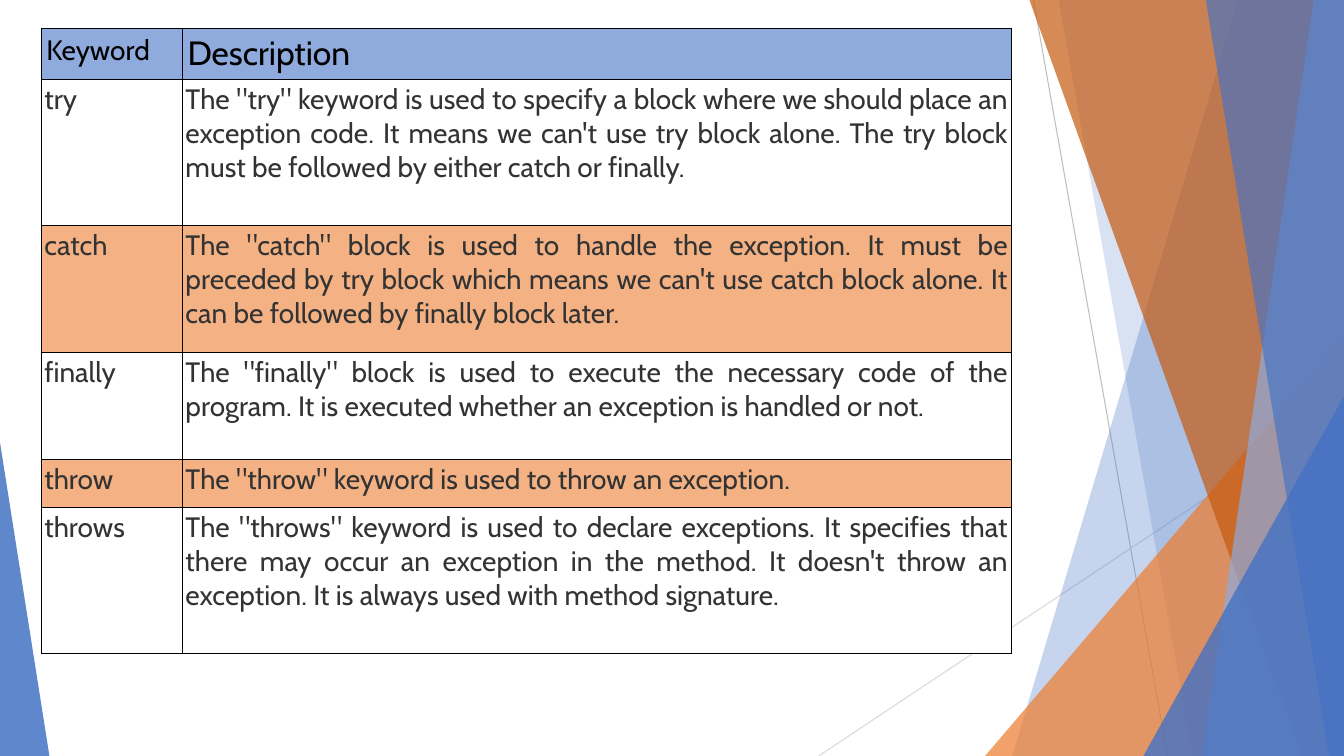
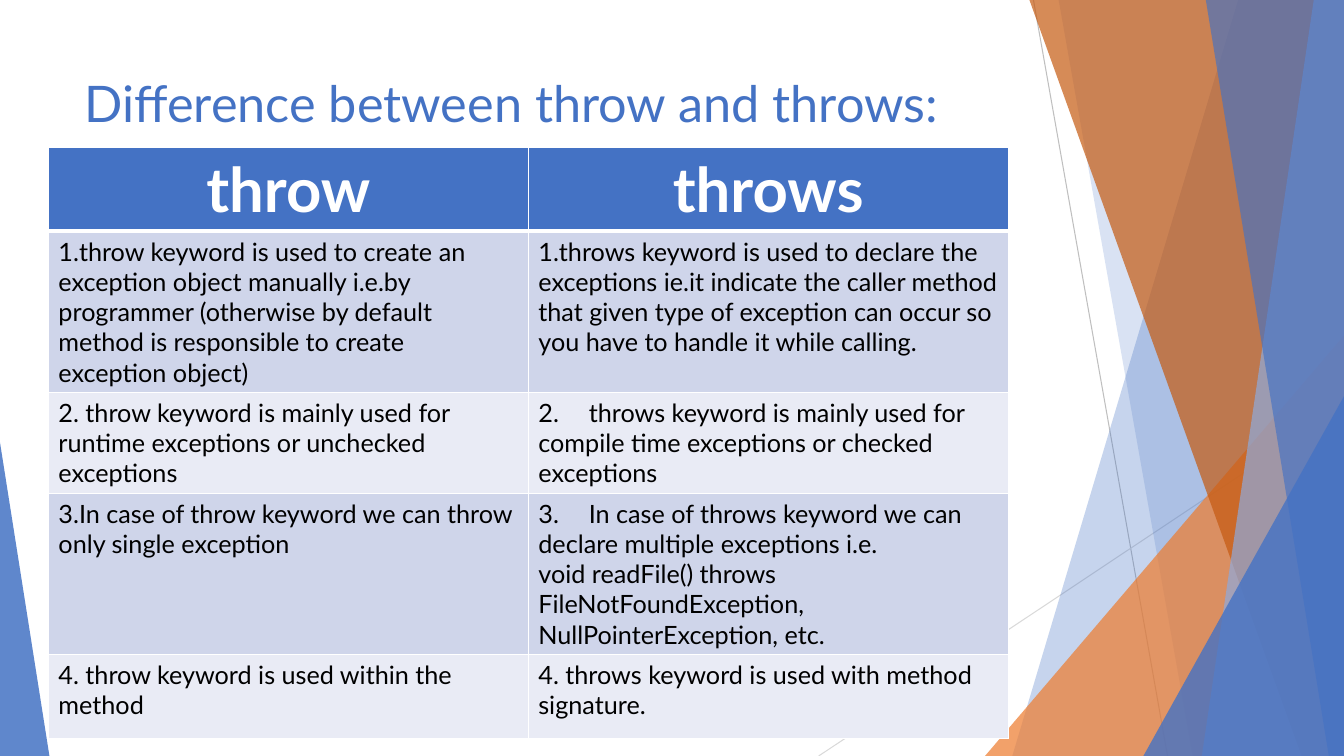
"""Build two slides on exception keywords in a shared faceted design."""
from dataclasses import dataclass
from typing import NamedTuple, Optional

import lxml.etree
import pptx
import pptx.dml.color
import pptx.enum.shapes
import pptx.enum.text
import pptx.oxml.ns
import pptx.slide
import pptx.table
import pptx.text.text
import pptx.util

Inches = pptx.util.Inches
Pt = pptx.util.Pt
ALIGN = pptx.enum.text.PP_ALIGN
qn = pptx.oxml.ns.qn


@dataclass(frozen=True)
class Theme:
    wide: float = 13.33
    high: float = 7.5
    blue: str = "4472C4"
    sky: str = "8FAADC"
    orange: str = "ED7D31"
    rust: str = "C55A11"
    peach: str = "F4B183"
    mist: str = "CFD5EA"
    pale: str = "E9EBF5"
    white: str = "FFFFFF"
    black: str = "000000"
    ink: str = "333333"
    gray: str = "BFBFBF"
    light: str = "D9D9D9"
    sans: str = "Lato"
    round: str = "Cabin"
    title: int = 36
    banner: int = 44
    head: int = 24
    body: int = 20
    small: int = 18


T = Theme()


class Line(NamedTuple):
    x1: float
    y1: float
    x2: float
    y2: float
    color: str


class Facet(NamedTuple):
    top: float
    base: float
    color: str
    alpha: int


class Wedge(NamedTuple):
    left: float
    top: float
    width: float
    apex: float
    color: str
    alpha: int


class Look(NamedTuple):
    sizes: tuple[int, int]
    font: str
    color: str
    align: ALIGN
    pad: tuple[float, float]
    bold: bool = False


class Row(NamedTuple):
    high: float
    texts: tuple[str, str]


@dataclass(frozen=True)
class Grid:
    left: float
    top: float
    cols: tuple[float, float]
    rows: tuple[Row, ...]
    head: Look
    body: Look
    band: str
    fills: tuple[str, str]
    edge: str
    rule: float


LINES = (
    Line(10.25, 0, 11.58, T.high, T.gray),
    Line(T.wide, 4.03, 8.12, T.high, T.light),
)
SHARDS = (
    Facet(12.28, 10.04, T.blue, 30),
    Facet(10.5, 11.83, T.blue, 20),
    Wedge(9.77, 3.33, 3.56, 1, T.orange, 72),
    Facet(10.21, 12.91, T.rust, 70),
    Facet(13.03, 11.92, T.sky, 70),
    Facet(11.96, 13.18, T.blue, 65),
    Wedge(11.34, 3.93, 1.99, 1, T.blue, 80),
    Wedge(0, 4.39, 0.49, 0, T.blue, 85),
)

KEYWORDS = Grid(
    left=0.41, top=0.28, cols=(1.4, 8.22),
    rows=(
        Row(0.49, ("Keyword", "Description")),
        Row(1.45, ("try", "The \"try\" keyword is used to specify a block where we should place an exception code. It means we can't use try block alone. The try block must be followed by either catch or finally.")),
        Row(1.26, ("catch", "The \"catch\" block is used to handle the exception. It must be preceded by try block which means we can't use catch block alone. It can be followed by finally block later.")),
        Row(1.06, ("finally", "The \"finally\" block is used to execute the necessary code of the program. It is executed whether an exception is handled or not.")),
        Row(0.48, ("throw", "The \"throw\" keyword is used to throw an exception.")),
        Row(1.45, ("throws", "The \"throws\" keyword is used to declare exceptions. It specifies that there may occur an exception in the method. It doesn't throw an exception. It is always used with method signature.")),
    ),
    head=Look((T.body, T.head), T.round, T.black, ALIGN.LEFT, (0.05, 0.05)),
    body=Look((T.body, T.body), T.round, T.ink, ALIGN.JUSTIFY, (0.03, 0.03)),
    band=T.sky, fills=(T.white, T.peach), edge=T.black, rule=1,
)
THROWS = Grid(
    left=0.48, top=1.46, cols=(4.76, 4.76),
    rows=(
        Row(0.83, ("throw", "throws")),
        Row(1.6, ("1.throw keyword is used to create an exception object manually i.e.by programmer (otherwise by default method is responsible to create exception object)",
                  "1.throws keyword is used to declare the exceptions ie.it indicate the caller method that given type of exception can occur so you have to handle it while calling.")),
        Row(1, ("2. throw keyword is mainly used for runtime exceptions or unchecked exceptions",
                "2.\tthrows keyword is mainly used for compile time exceptions or checked exceptions")),
        Row(1.6, ("3.In case of throw keyword we can throw only single exception",
                  "3.\tIn case of throws keyword we can declare multiple exceptions i.e.\nvoid readFile() throws FileNotFoundException, NullPointerException, etc.")),
        Row(0.83, ("4. throw keyword is used within the method",
                   "4. throws keyword is used with method signature.")),
    ),
    head=Look((T.banner, T.banner), T.sans, T.white, ALIGN.CENTER, (0.1, 0.05), True),
    body=Look((T.small, T.small), T.sans, T.black, ALIGN.LEFT, (0.1, 0.05)),
    band=T.blue, fills=(T.mist, T.pale), edge=T.white, rule=3,
)


def rgb(color: str) -> pptx.dml.color.RGBColor:
    return pptx.dml.color.RGBColor.from_string(color)


def style(para: pptx.text.text._Paragraph, size: int, name: str, color: str, bold: bool = False) -> None:
    font = para.font
    font.size, font.name, font.bold = Pt(size), name, bold
    font.color.rgb = rgb(color)


def draw_line(slide: pptx.slide.Slide, line: Line) -> None:
    ends = (Inches(n) for n in (line.x1, line.y1, line.x2, line.y2))
    link = slide.shapes.add_connector(pptx.enum.shapes.MSO_CONNECTOR.STRAIGHT, *ends)
    link.line.width = Pt(0.75)
    link.line.color.rgb = rgb(line.color)
    lxml.etree.SubElement(link.element.spPr, qn("a:effectLst"))


def draw_shard(slide: pptx.slide.Slide, shard: Facet | Wedge) -> None:
    if isinstance(shard, Facet):
        pen = slide.shapes.build_freeform(Inches(shard.top), 0)
        corners = ((T.wide, 0), (T.wide, T.high), (shard.base, T.high))
        pen.add_line_segments([(Inches(x), Inches(y)) for x, y in corners])
        shape = pen.convert_to_shape()
    else:
        shape = slide.shapes.add_shape(
            pptx.enum.shapes.MSO_SHAPE.ISOSCELES_TRIANGLE, Inches(shard.left),
            Inches(shard.top), Inches(shard.width), Inches(T.high - shard.top))
        shape.adjustments[0] = shard.apex
    shape.shadow.inherit = False
    shape.line.fill.background()
    shape.fill.solid()
    shape.fill.fore_color.rgb = rgb(shard.color)
    tint = shape.element.spPr.find(".//" + qn("a:srgbClr"))
    lxml.etree.SubElement(tint, qn("a:alpha"), val=str(shard.alpha * 1000))


def draw_title(slide: pptx.slide.Slide, text: str) -> None:
    frame = slide.shapes.add_textbox(Inches(0.74), Inches(0.67), Inches(9.4), Inches(0.95)).text_frame
    frame.word_wrap = True
    para = frame.paragraphs[0]
    para.text = text
    style(para, T.title, T.sans, T.blue)


def add_edge(cell: pptx.table._Cell, side: str, color: str, width: float) -> None:
    props = cell._tc.get_or_add_tcPr()
    edge = lxml.etree.SubElement(props, qn("a:ln" + side), w=str(Pt(width)))
    fill = lxml.etree.SubElement(edge, qn("a:solidFill"))
    lxml.etree.SubElement(fill, qn("a:srgbClr"), val=color)


def fill_cell(cell: pptx.table._Cell, text: str, look: Look, size: int, fill: str) -> None:
    cell.margin_left = cell.margin_right = Inches(look.pad[0])
    cell.margin_top = cell.margin_bottom = Inches(look.pad[1])
    cell.fill.solid()
    cell.fill.fore_color.rgb = rgb(fill)
    para = cell.text_frame.paragraphs[0]
    para.text = text
    para.alignment = look.align
    if "\t" in text:
        tabs = lxml.etree.SubElement(para._p.get_or_add_pPr(), qn("a:tabLst"))
        lxml.etree.SubElement(tabs, qn("a:tab"), pos=str(Inches(0.5)), algn="l")
    style(para, size, look.font, look.color, look.bold)


def draw_grid(slide: pptx.slide.Slide, grid: Grid) -> None:
    wide, high = sum(grid.cols), sum(row.high for row in grid.rows)
    table = slide.shapes.add_table(
        len(grid.rows), len(grid.cols), Inches(grid.left), Inches(grid.top),
        Inches(wide), Inches(high)).table
    table.first_row = table.horz_banding = False
    for col, width in zip(table.columns, grid.cols):
        col.width = Inches(width)
    for r, row in enumerate(grid.rows):
        table.rows[r].height = Inches(row.high)
        look = grid.body if r else grid.head
        fill = grid.fills[(r - 1) % 2] if r else grid.band
        for c, text in enumerate(row.texts):
            cell = table.cell(r, c)
            for side in "LRTB":
                rule = (r, side) in ((0, "B"), (1, "T"))
                add_edge(cell, side, grid.edge, grid.rule if rule else 1)
            fill_cell(cell, text, look, look.sizes[c], fill)


def add_page(deck, grid: Grid, title: Optional[str] = None) -> None:
    slide = deck.slides.add_slide(deck.slide_layouts[6])
    for line in LINES:
        draw_line(slide, line)
    for shard in SHARDS:
        draw_shard(slide, shard)
    if title:
        draw_title(slide, title)
    draw_grid(slide, grid)


def main() -> None:
    deck = pptx.Presentation()
    deck.slide_width, deck.slide_height = Inches(T.wide), Inches(T.high)
    add_page(deck, KEYWORDS)
    add_page(deck, THROWS, "Difference between throw and throws:")
    deck.save("out.pptx")


if __name__ == "__main__":
    main()
